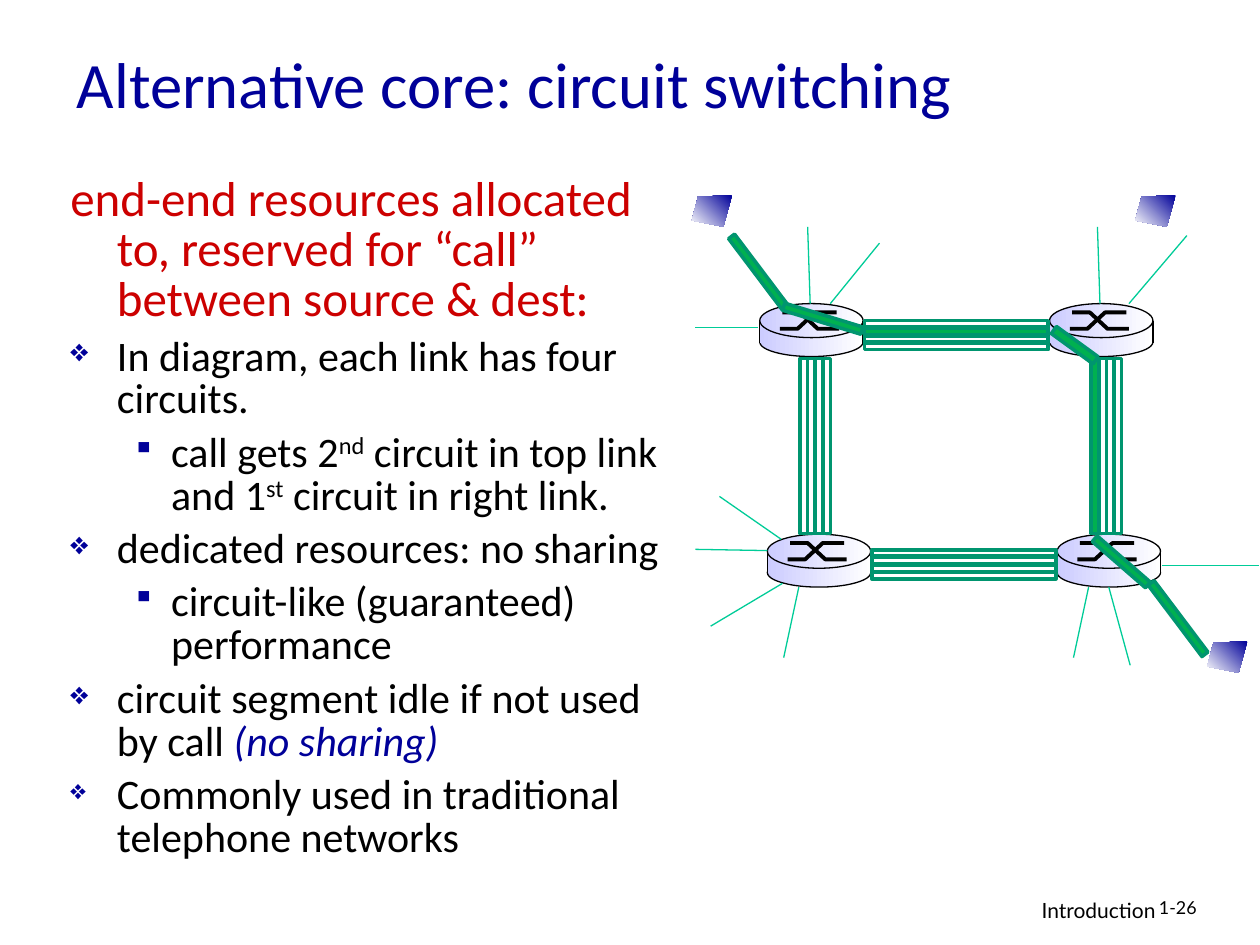
from lxml import etree
from pptx import Presentation
from pptx import util as u
from pptx.dml.color import RGBColor
from pptx.enum import shapes, text
from pptx.oxml.ns import qn

COLORS = {"navy": "000099", "red": "CC0000", "black": "000000", "white": "FFFFFF",
          "lilac": "CCCCFF", "circuit": "00956F", "call": "00B050", "access": "00CC98"}

TITLE = "Alternative core: circuit switching"
# Body: (style, runs); a run is (wording, look)
BODY = [
    ("lead", [("end-end resources allocated to, reserved for “call” between source & dest:", "")]),
    ("main", [("In diagram, each link has four circuits.", "")]),
    ("sub", [("call gets 2", ""), ("nd", "super"), (" circuit in top link and 1", ""),
             ("st", "super"), (" circuit in right link.", "")]),
    ("main", [("dedicated resources: no sharing", "")]),
    ("sub", [("circuit-like (guaranteed) performance", "")]),
    ("main", [("circuit segment idle if not used by call ", ""), ("(no sharing)", "accent")]),
    ("last", [("Commonly used in traditional telephone networks", "")]),
]
# style: (size, color, left margin, hanging indent, level, bullet, bullet percent)
STYLES = {
    "lead": (28, "red", 0.38, -0.37, 0, None, 0),
    "main": (24, "black", 0.38, -0.37, 0, "❖", 75),
    "sub": (24, "black", 0.81, -0.31, 1, "▪", 75),
    "last": (24, "black", 0.38, -0.37, 0, "❖", 65),
}

HOSTS = [(5.49, 1.55), (9.01, 1.55), (9.58, 5.09)]
ROUTERS = [(6.03, 2.41), (8.33, 2.41), (6.09, 4.24), (8.39, 4.24)]
# Links: centre, length, angle, index of the circuit the call uses
LINKS = [(7.59, 2.66, 1.46, 0, 1), (7.65, 4.48, 1.46, 0, None),
         (6.47, 3.54, 1.39, 90, None), (8.78, 3.54, 1.39, 90, 0)]
CIRCUITS, CIRCUIT_GAP = 4, 0.06
ACCESS_LINES = [
    (6.41, 1.8, 6.43, 2.41), (6.98, 1.93, 6.59, 2.41), (5.52, 2.6, 6.02, 2.6),
    (5.52, 4.36, 6.09, 4.37), (5.71, 3.94, 6.2, 4.28), (5.64, 4.97, 6.21, 4.63),
    (6.22, 5.22, 6.34, 4.66), (9.99, 4.49, 9.22, 4.49), (8.97, 5.28, 8.8, 4.66),
    (8.52, 5.22, 8.64, 4.66), (8.71, 1.8, 8.73, 2.41), (9.42, 1.87, 8.96, 2.41),
]
# Call path outside the links: centre, length, thickness, angle
CALL_SEGMENTS = [(6.02, 2.16, 0.71, 0.06, 53), (9.35, 4.91, 0.71, 0.06, 53),
                 (6.53, 2.53, 0.65, 0.06, 17), (8.9, 4.46, 0.56, 0.06, 41),
                 (8.53, 2.74, 0.41, 0.07, 36)]


def rgb(name):
    return RGBColor.from_string(COLORS[name])


def paint(shape, fill=None, line=None, width=0.75, angle=0):
    """fill is a colour name, a pair for a gradient, or None."""
    shape.shadow.inherit = False
    if isinstance(fill, tuple):
        shape.fill.gradient()
        shape.fill.gradient_angle = angle
        for stop, name in zip(shape.fill.gradient_stops, fill):
            stop.color.rgb = rgb(name)
    elif fill:
        shape.fill.solid()
        shape.fill.fore_color.rgb = rgb(fill)
    else:
        shape.fill.background()
    if line:
        shape.line.color.rgb = rgb(line)
        shape.line.width = u.Pt(width)
    else:
        shape.line.fill.background()


def add_preset(slide, kind, left, top, width, height):
    return slide.shapes.add_shape(kind, *map(u.Inches, (left, top, width, height)))


def add_path(slide, left, top, points, close):
    placed = [(u.Inches(left + x), u.Inches(top + y)) for x, y in points]
    builder = slide.shapes.build_freeform(*placed[0])
    builder.add_line_segments(placed[1:], close=close)
    return builder.convert_to_shape()


def add_line(slide, ends, color):
    line = slide.shapes.add_connector(shapes.MSO_CONNECTOR.STRAIGHT, *map(u.Inches, ends))
    line.line.color.rgb = rgb(color)
    line.line.width = u.Pt(0.75)
    etree.SubElement(line._element.spPr, qn("a:effectLst"))


def add_bar(slide, x, y, length, thickness, angle, fill):
    bar = add_preset(slide, shapes.MSO_SHAPE.RECTANGLE,
                     x - length / 2, y - thickness / 2, length, thickness)
    bar.rotation = angle
    paint(bar, fill, "circuit", 2)


def add_host(slide, left, top):
    outline = [(0.32, 0), (0.05, 0.01), (0, 0.2), (0.25, 0.25)]
    paint(add_path(slide, left, top, outline, True), ("navy", "white"), angle=225)


def add_router(slide, left, top):
    oval, box = shapes.MSO_SHAPE.OVAL, shapes.MSO_SHAPE.RECTANGLE
    for kind, down, height, line in ((oval, 0.19, 0.23, "black"), (box, 0.17, 0.14, None),
                                     (oval, 0, 0.27, "black")):
        paint(add_preset(slide, kind, left, top + down, 0.82, height), ("lilac", "white"), line)
    for start, first, last in ((0.16, 0.2, 0.07), (0.18, 0.07, 0.2)):
        points = [(start, first), (start + 0.14, first), (start + 0.28, last), (start + 0.45, last)]
        paint(add_path(slide, left, top, points, False), None, "black", 2.25)
    for x in (left, left + 0.82):
        add_line(slide, (x, top + 0.14, x, top + 0.31), "black")


def add_link(slide, x, y, length, angle, used):
    for index in range(CIRCUITS):
        offset = (index - (CIRCUITS - 1) / 2) * CIRCUIT_GAP
        dx, dy = (offset, 0) if angle else (0, offset)
        add_bar(slide, x + dx, y + dy, length, 0.06 if angle else 0.05, angle,
                "call" if index == used else None)


def set_font(font, name, size, color):
    font.name, font.size = name, u.Pt(size)
    font.color.rgb = rgb(color)


def add_label(slide, wording, place, size, align):
    frame = slide.shapes.add_textbox(*map(u.Inches, place)).text_frame
    frame.word_wrap = True
    frame.text = wording
    frame.paragraphs[0].alignment = align
    set_font(frame.paragraphs[0].runs[0].font, "Lato", size, "black")


def add_bullet(properties, character, percent):
    color = etree.SubElement(properties, qn("a:buClr"))
    etree.SubElement(color, qn("a:srgbClr"), val=COLORS["navy"])
    etree.SubElement(properties, qn("a:buSzPct"), val=str(percent * 1000))
    etree.SubElement(properties, qn("a:buChar"), char=character)


def add_body(slide):
    frame = slide.shapes.add_textbox(*map(u.Inches, (0.45, 1.35, 4.88, 5.08))).text_frame
    frame.word_wrap = True
    for index, (style, runs) in enumerate(BODY):
        size, color, margin, indent, level, bullet, percent = STYLES[style]
        paragraph = frame.add_paragraph() if index else frame.paragraphs[0]
        paragraph.level = level
        paragraph.line_spacing = 0.85
        if index:
            paragraph.space_before = u.Pt(6)
        properties = paragraph._p.get_or_add_pPr()
        properties.set("marL", str(u.Inches(margin)))
        properties.set("indent", str(u.Inches(indent)))
        if bullet:
            add_bullet(properties, bullet, percent)
        for wording, look in runs:
            run = paragraph.add_run()
            run.text = wording
            set_font(run.font, "Calibri", size, "navy" if look == "accent" else color)
            if look == "accent":
                run.font.italic = True
            elif look == "super":
                run.font._element.set("baseline", "30000")


def main():
    presentation = Presentation()
    presentation.slide_width, presentation.slide_height = u.Inches(10), u.Inches(7.5)
    slide = presentation.slides.add_slide(presentation.slide_layouts[5])

    # Title
    title = slide.shapes.title
    title.left, title.top, title.width, title.height = map(u.Inches, (0.51, 0.3, 8.5, 0.79))
    title.text_frame.text = TITLE
    title.text_frame.vertical_anchor = text.MSO_ANCHOR.MIDDLE
    paragraph = title.text_frame.paragraphs[0]
    paragraph.alignment, paragraph.line_spacing = text.PP_ALIGN.LEFT, 0.9
    set_font(paragraph.runs[0].font, "Calibri", 37, "navy")

    # Body and footer
    add_body(slide)
    add_label(slide, "Introduction", (6.1, 7.07, 3.17, 0.31), 12, text.PP_ALIGN.RIGHT)
    add_label(slide, "1-26", (9.1, 7.07, 0.74, 0.3), 10.2, text.PP_ALIGN.LEFT)

    # Network diagram
    for host in HOSTS:
        add_host(slide, *host)
    for router in ROUTERS:
        add_router(slide, *router)
    for link in LINKS:
        add_link(slide, *link)
    for ends in ACCESS_LINES:
        add_line(slide, ends, "access")
    for segment in CALL_SEGMENTS:
        add_bar(slide, *segment, "call")

    presentation.save("out.pptx")


if __name__ == "__main__":
    main()
